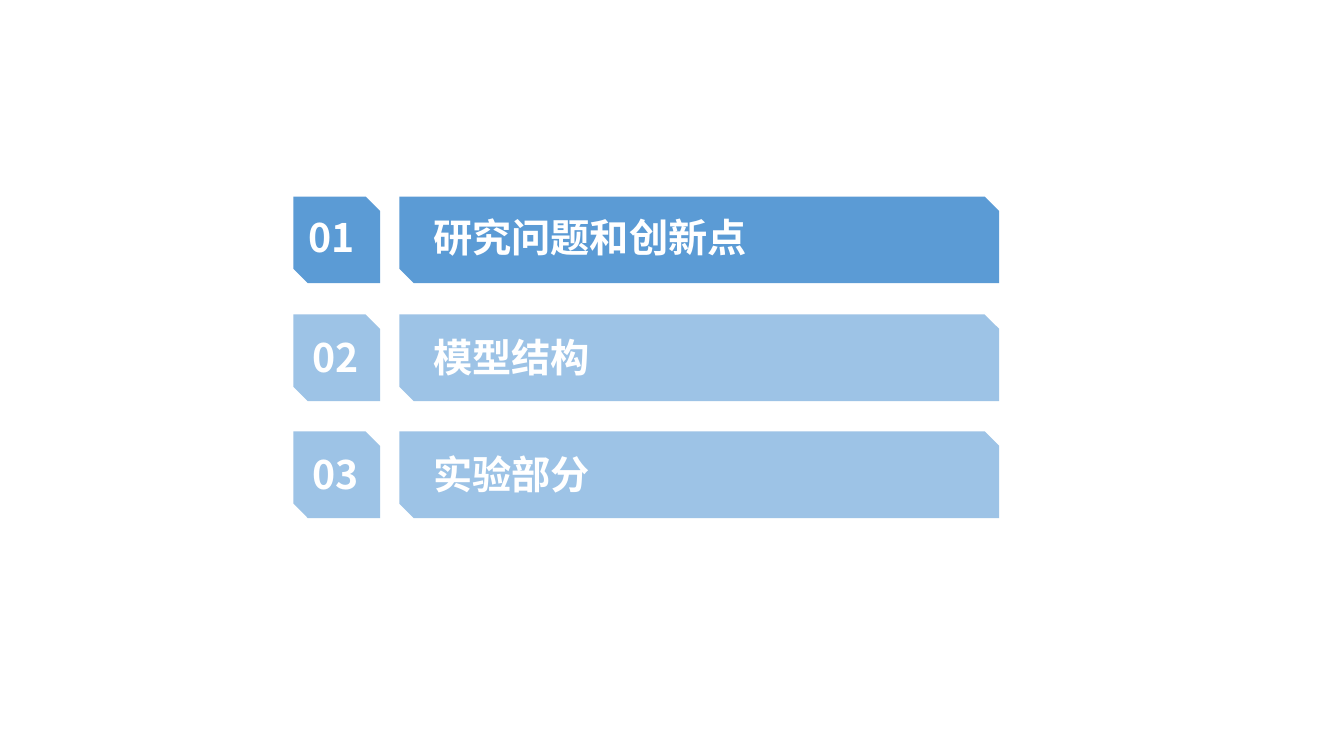
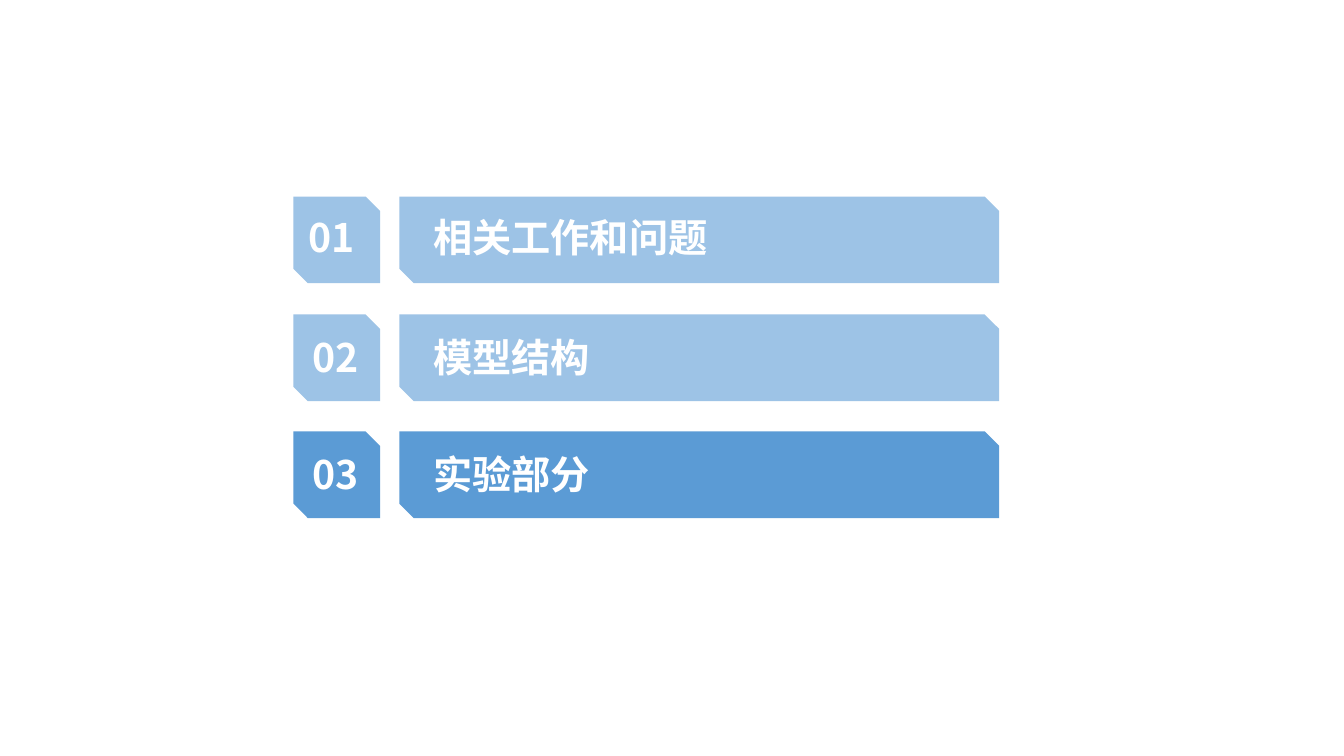
from lxml.etree import SubElement
from pptx import Presentation
from pptx.dml.color import RGBColor
from pptx.enum.shapes import MSO_SHAPE
from pptx.enum.text import MSO_AUTO_SIZE
from pptx.oxml.ns import qn
from pptx.util import Pt

PX = 9144  # EMU in one px, 100 px to the inch
FONT = "Noto Sans CJK SC"
COLORS = {"active": "5B9BD5", "muted": "9DC3E6", "text": "FFFFFF"}

# Agenda grid
TOP, SIDE = 195, 86
TILE_X, BAR_X, BAR_W = 291, 396, 595
HEAD_X, TEXT_H = 420, 57

# Each agenda: the headings and the index of the active one
AGENDAS = [
    (["研究问题和创新点", "模型结构", "实验部分"], 0),
    (["相关工作和问题", "模型结构", "实验部分"], 2),
]


def color(name):
    return RGBColor.from_string(COLORS[name])


def box(left, top, width, height):
    return [PX * side for side in (left, top, width, height)]


def add_panel(slide, left, top, width, fill):
    panel = slide.shapes.add_shape(
        MSO_SHAPE.SNIP_2_DIAG_RECTANGLE, *box(left, top, width, SIDE))
    panel.shadow.inherit = False
    panel.fill.solid()
    panel.fill.fore_color.rgb = color(fill)
    panel.line.fill.background()


def add_label(slide, left, top, width, text):
    frame = slide.shapes.add_textbox(*box(left, top, width, TEXT_H)).text_frame
    frame.word_wrap = False
    frame.auto_size = MSO_AUTO_SIZE.SHAPE_TO_FIT_TEXT
    frame.text = text
    font = frame.paragraphs[0].runs[0].font
    font.size = Pt(28)
    font.bold = True
    font.color.rgb = color("text")
    font.name = FONT
    # The East Asian font has no public setter
    props = frame.paragraphs[0].runs[0]._r.get_or_add_rPr()
    SubElement(props, qn("a:ea"), typeface=FONT)


def add_row(slide, index, heading, fill):
    top = TOP + (233 * index + 1) // 2
    add_panel(slide, TILE_X, top, SIDE, fill)
    add_panel(slide, BAR_X, top, BAR_W, fill)
    # The first row's labels sit slightly higher, its number further left
    num_x, drop = (300, 14) if index else (296, 12)
    add_label(slide, num_x, top + drop, 68, f"{index + 1:02}")
    add_label(slide, HEAD_X, top + drop, 22 + 39 * len(heading), heading)


def add_agenda(deck, headings, active):
    slide = deck.slides.add_slide(deck.slide_layouts[6])
    for index, heading in enumerate(headings):
        fill = "active" if index == active else "muted"
        add_row(slide, index, heading, fill)


def main():
    deck = Presentation()
    deck.slide_width, deck.slide_height = 1333 * PX, 750 * PX
    for headings, active in AGENDAS:
        add_agenda(deck, headings, active)
    deck.save("out.pptx")


if __name__ == "__main__":
    main()
